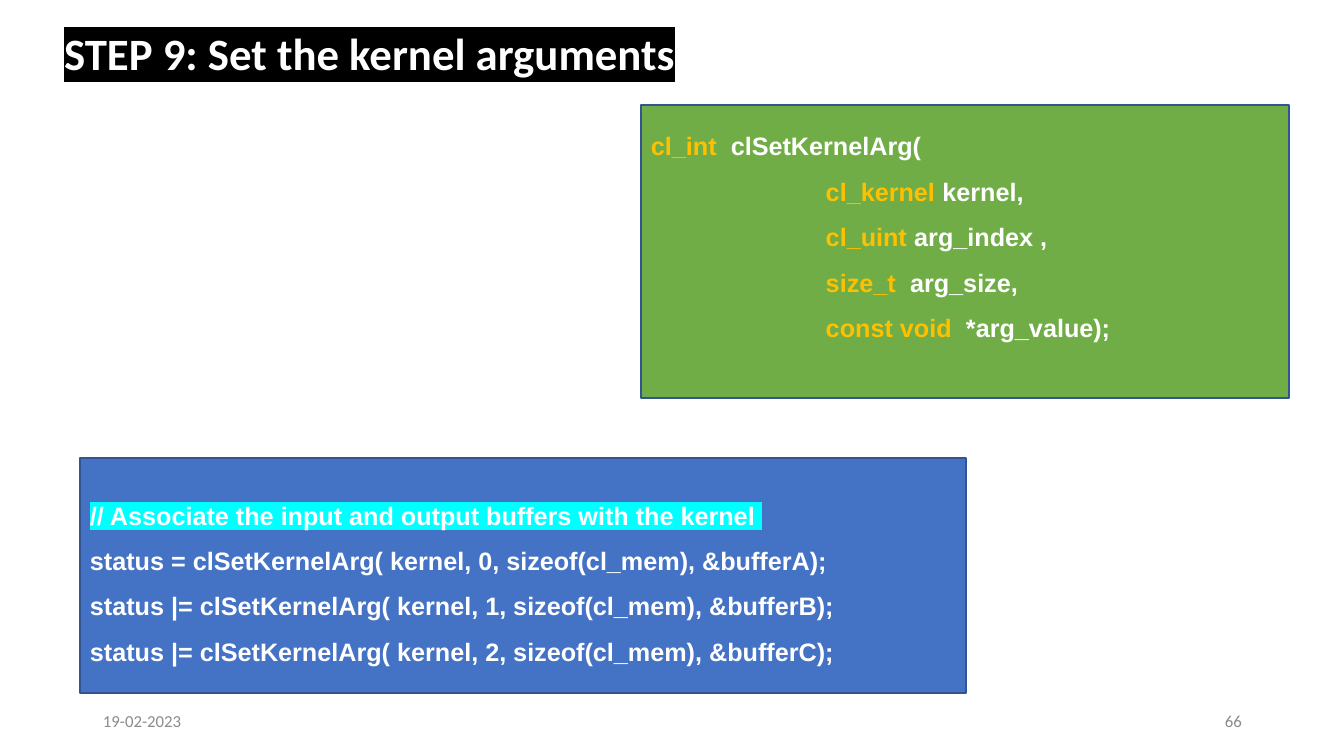
from lxml.etree import SubElement
from pptx import Presentation
from pptx.dml.color import RGBColor
from pptx.enum.shapes import MSO_SHAPE
from pptx.enum.text import MSO_ANCHOR, MSO_AUTO_SIZE, PP_ALIGN
from pptx.oxml.ns import qn
from pptx.util import Emu, Pt

PX = 12192000 / 1344  # EMU in one px
WHITE, BLACK, GREY, GOLD = "FFFFFF", "000000", "8B8B8B", "FFC000"
BLUE, GREEN, NAVY, CYAN = "4472C4", "70AD47", "325491", "00FFFF"


def px(n):
    return Emu(round(n * PX))


def rgb(value):
    return RGBColor.from_string(value)


class Deck:
    TITLE = dict(name="Calibri", size=Pt(32), bold=True)
    CODE = dict(name="Arial", size=Pt(18), bold=True)
    FOOTER = dict(name="Calibri", size=Pt(12), bold=False)

    def __init__(self, width, height):
        self.prs = Presentation()
        self.prs.slide_width, self.prs.slide_height = px(width), px(height)
        self.s = self.prs.slides.add_slide(self.prs.slide_layouts[5])

    def frame(self, sp, bottom=5):
        tf = sp.text_frame
        values = dict(word_wrap=True, auto_size=MSO_AUTO_SIZE.NONE,
                      vertical_anchor=MSO_ANCHOR.MIDDLE,
                      margin_left=px(10), margin_right=px(10),
                      margin_top=px(5), margin_bottom=px(bottom))
        for key, value in values.items():
            setattr(tf, key, value)
        return tf

    def run(self, p, text, style, color, highlight=None):
        r = p.add_run()
        r.text = text
        for key, value in style.items():
            setattr(r.font, key, value)
        r.font.color.rgb = rgb(color)
        if highlight:
            rPr = r.font._element
            mark = SubElement(rPr, qn("a:highlight"))
            SubElement(mark, qn("a:srgbClr"), val=highlight)
            rPr.find(qn("a:solidFill")).addnext(mark)

    def title(self, text, box, band):
        """Title on a highlighted band that a tab extends to the given width."""
        sp = self.s.shapes.title
        sp.left, sp.top, sp.width, sp.height = map(px, box)
        p = self.frame(sp).paragraphs[0]
        p.alignment, p.line_spacing = PP_ALIGN.LEFT, 0.9
        tabs = SubElement(p._p.get_or_add_pPr(), qn("a:tabLst"))
        SubElement(tabs, qn("a:tab"), pos=str(px(band)), algn="l")
        self.run(p, text + "\t", self.TITLE, WHITE, BLACK)

    def footer(self, text, box, align):
        sp = self.s.shapes.add_textbox(*map(px, box))
        p = self.frame(sp).paragraphs[0]
        p.alignment = align
        self.run(p, text, self.FOOTER, GREY)

    def code(self, lines, box, fill, bottom=5):
        """Code box; each line is a list of (text, colour[, highlight])."""
        sp = self.s.shapes.add_shape(MSO_SHAPE.RECTANGLE, *map(px, box))
        sp.shadow.inherit = False
        sp.fill.solid()
        sp.fill.fore_color.rgb = rgb(fill)
        sp.line.color.rgb = rgb(NAVY)
        sp.line.width = Pt(2)
        tf = self.frame(sp, bottom)
        for i, parts in enumerate(lines):
            p = tf.add_paragraph() if i else tf.paragraphs[0]
            p.alignment, p.line_spacing = PP_ALIGN.LEFT, 1.5
            for text, *colors in parts:
                self.run(p, text, self.CODE, *colors)


def main():
    deck = Deck(1344, 756)

    # Footer and title
    deck.footer("19-02-2023", (93, 701, 302, 40), PP_ALIGN.LEFT)
    deck.footer("66", (950, 701, 302, 40), PP_ALIGN.RIGHT)
    deck.title("STEP 9: Set the kernel arguments", (54, 14, 1159, 83), band=642)

    # Calls that set the arguments
    calls = [[("// Associate the input and output buffers with the kernel ",
               WHITE, CYAN)]]
    for i, (operator, buffer) in enumerate(
            [("=", "bufferA"), ("|=", "bufferB"), ("|=", "bufferC")]):
        calls.append([(f"status {operator} clSetKernelArg( kernel, {i}, "
                       f"sizeof(cl_mem), &{buffer});", WHITE)])
    deck.code(calls, (80, 458, 886, 235), BLUE)

    # Function signature
    signature = [[("cl_int  ", GOLD), ("clSetKernelArg(", WHITE)]]
    for kind, name in [("cl_kernel ", "kernel,"), ("cl_uint ", "arg_index ,"),
                       ("size_t  ", "arg_size,"),
                       ("const void", "  *arg_value);")]:
        signature.append([(" " * 25 + kind, GOLD), (name, WHITE)])
    deck.code(signature, (641, 105, 648, 293), GREEN, bottom=50)

    deck.prs.save("out.pptx")


if __name__ == "__main__":
    main()
